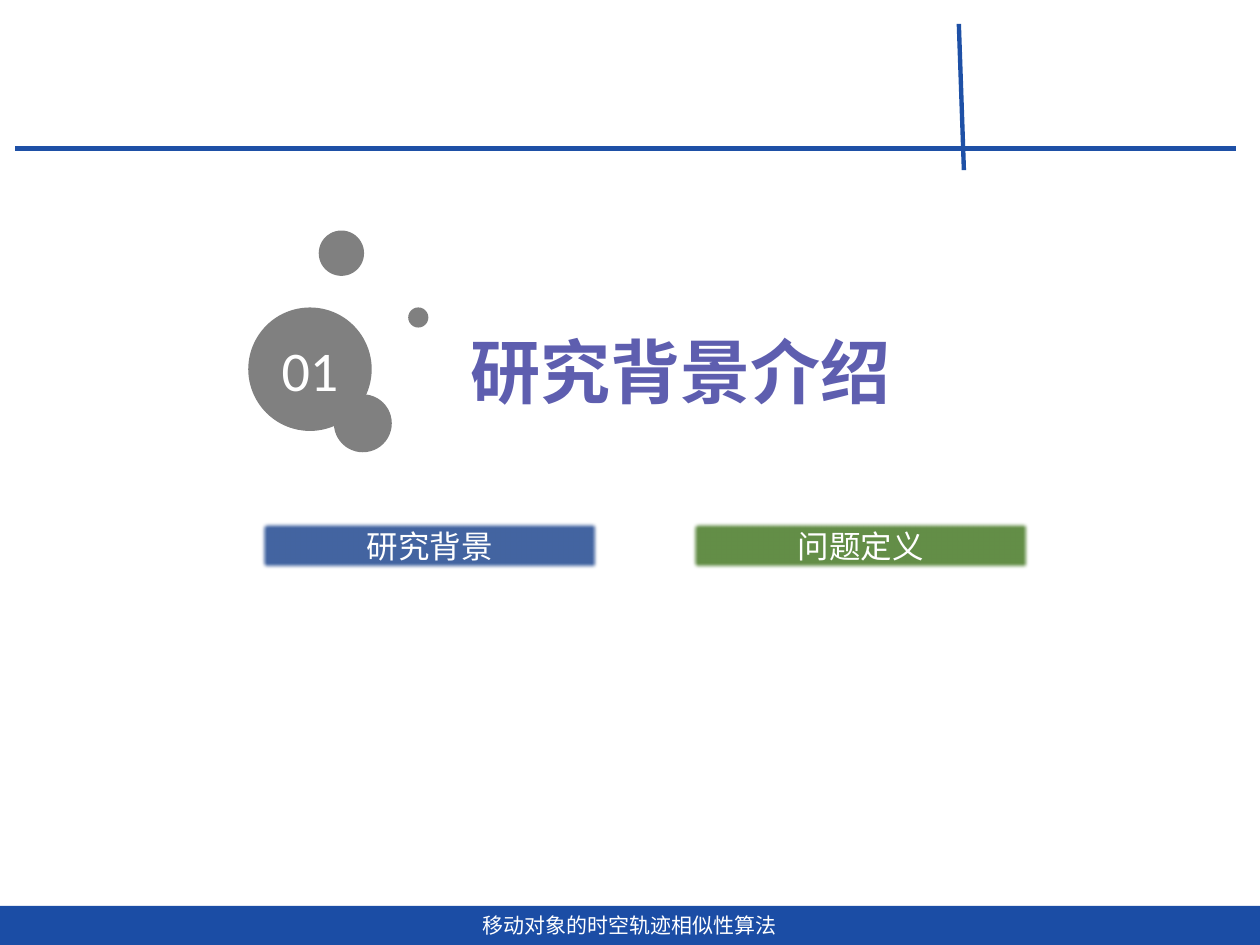
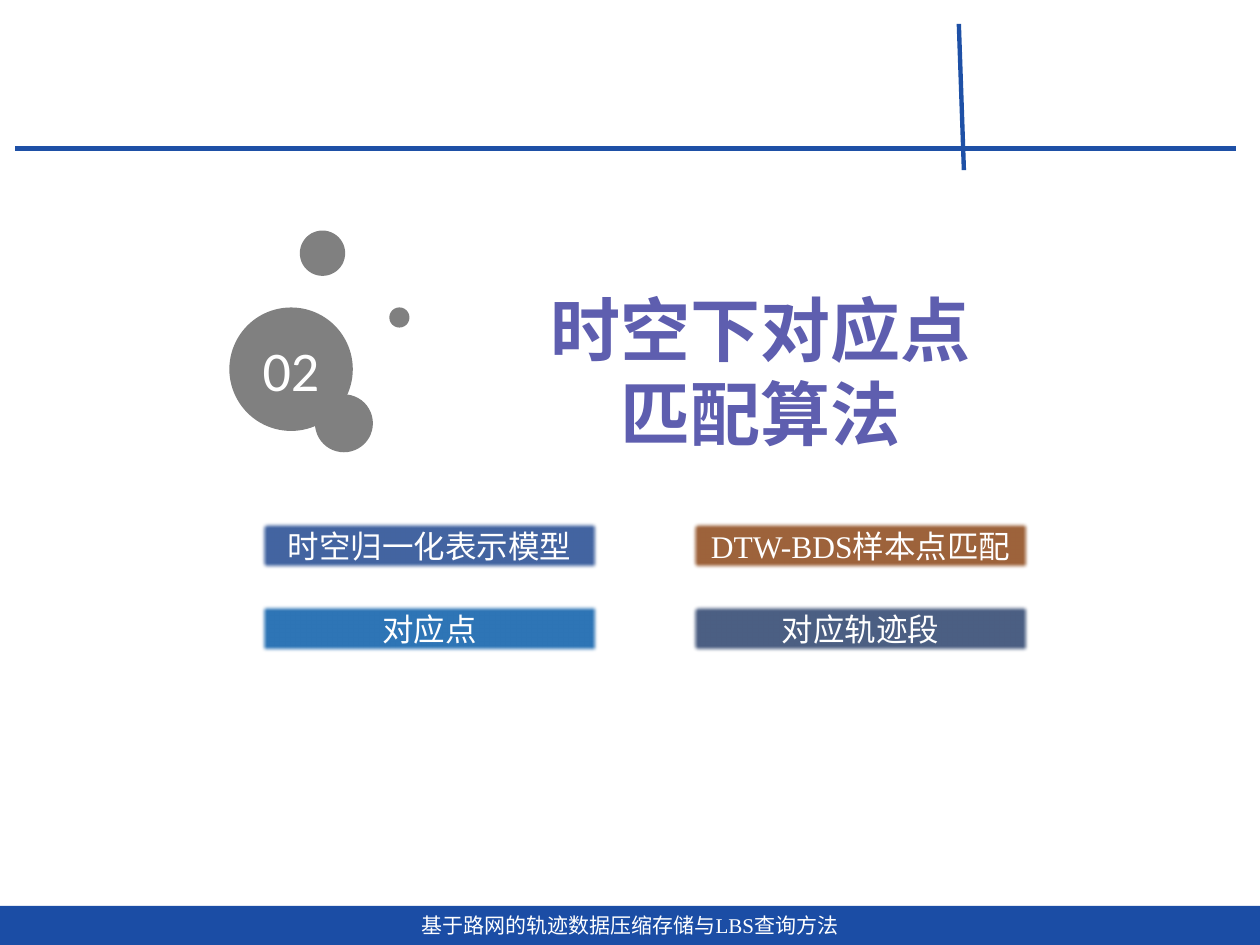
from lxml.etree import SubElement
from pptx import Presentation
from pptx.dml.color import RGBColor
from pptx.enum.shapes import MSO_CONNECTOR, MSO_SHAPE
from pptx.enum.text import MSO_ANCHOR, PP_ALIGN
from pptx.oxml.ns import qn
from pptx.util import Inches, Pt

RULE_BLUE, FOOTER_BLUE = "1E50A6", "1B4DA5"
TITLE_PURPLE, BUBBLE_GRAY, WHITE = "5E5EAF", "808080", "FFFFFF"
SANS, SERIF, NUMBER_FONT = "Noto Sans CJK SC", "Times New Roman", "Calibri"

HEADER_RULES = [(0.12, 1.18, 9.81, 1.18), (7.61, 0.19, 7.65, 1.35)]
# Offsets from the bubble cluster's corner, then the diameter
NUMBER_BUBBLE = (0, 0.61, 0.98)
SMALL_BUBBLES = [(0.68, 1.3, 0.46), (0.56, 0, 0.36), (1.27, 0.61, 0.16)]
BUBBLES_TOP = 1.83
TOPIC_LEFT, TOPIC_TOP, TOPIC_WIDTH, TOPIC_HEIGHT = 2.06, 4.13, 2.7, 0.4
TOPIC_COLUMN_STEP, TOPIC_ROW_STEP = 3.42, 0.66
SOFT_EDGE = Pt(2.5)


def color(hex_string):
    return RGBColor.from_string(hex_string)


def write(shape, lines, size, font, text_color, bold=False, anchor=MSO_ANCHOR.MIDDLE):
    """Fill the shape with centred lines, one paragraph each."""
    frame = shape.text_frame
    frame.word_wrap = True
    frame.vertical_anchor = anchor
    for index, line in enumerate(lines):
        paragraph = frame.add_paragraph() if index else frame.paragraphs[0]
        paragraph.alignment = PP_ALIGN.CENTER
        run = paragraph.add_run()
        run.text = line
        run.font.size = Pt(size)
        run.font.name = font
        run.font.bold = bold
        run.font.color.rgb = color(text_color)
        SubElement(run.font._element, qn("a:ea"), typeface=SANS)


def add_filled(slide, kind, box, fill):
    shape = slide.shapes.add_shape(kind, *map(Inches, box))
    shape.shadow.inherit = False
    shape.fill.solid()
    shape.fill.fore_color.rgb = color(fill)
    shape.line.fill.background()
    return shape


def add_header_rules(slide):
    for ends in HEADER_RULES:
        rule = slide.shapes.add_connector(MSO_CONNECTOR.STRAIGHT, *map(Inches, ends))
        rule.line.color.rgb = color(RULE_BLUE)
        rule.line.width = Pt(2.5)
        SubElement(rule._element.spPr, qn("a:effectLst"))


def add_footer(slide, text, font):
    band = add_filled(slide, MSO_SHAPE.RECTANGLE, (0, 7.19, 10, 0.31), FOOTER_BLUE)
    write(band, [text], 12, font, WHITE)


def add_title(slide, lines, left, width):
    title = slide.shapes.add_textbox(*map(Inches, (left, 2.08, width, 1.72)))
    write(title, lines, 40, SANS, TITLE_PURPLE, bold=True)


def add_bubbles(slide, number, left):
    def add_bubble(x, y, diameter):
        box = (left + x, BUBBLES_TOP + y, diameter, diameter)
        return add_filled(slide, MSO_SHAPE.FLOWCHART_CONNECTOR, box, BUBBLE_GRAY)

    write(add_bubble(*NUMBER_BUBBLE), [number], 32, NUMBER_FONT, WHITE)
    for bubble in SMALL_BUBBLES:
        add_bubble(*bubble)


def add_topics(slide, topics):
    """Lay out (text, fill, opacity percent) labels in two columns."""
    for index, (text, fill, opacity) in enumerate(topics):
        row, column = divmod(index, 2)
        box = (TOPIC_LEFT + column * TOPIC_COLUMN_STEP,
               TOPIC_TOP + row * TOPIC_ROW_STEP, TOPIC_WIDTH, TOPIC_HEIGHT)
        label = add_filled(slide, MSO_SHAPE.RECTANGLE, box, fill)
        properties = label._element.spPr
        if opacity < 100:
            fill_color = properties.find(qn("a:solidFill")).find(qn("a:srgbClr"))
            SubElement(fill_color, qn("a:alpha"), val=str(opacity * 1000))
        effects = properties.find(qn("a:effectLst"))
        SubElement(effects, qn("a:softEdge"), rad=str(SOFT_EDGE))
        write(label, [text], 18, SERIF, WHITE, anchor=MSO_ANCHOR.TOP)


def add_section_slide(presentation, number, bubbles_left, title, title_left,
                      title_width, topics, footer, footer_font):
    slide = presentation.slides.add_slide(presentation.slide_layouts[6])
    add_header_rules(slide)
    add_title(slide, title, title_left, title_width)
    add_topics(slide, topics)
    add_bubbles(slide, number, bubbles_left)
    add_footer(slide, footer, footer_font)


def main():
    presentation = Presentation()
    presentation.slide_width = Inches(10)
    presentation.slide_height = Inches(7.5)
    add_section_slide(
        presentation, number="01", bubbles_left=1.97,
        title=["研究背景介绍"], title_left=1.99, title_width=6.82,
        topics=[("研究背景", "2F5597", 90), ("问题定义", "548235", 90)],
        footer="移动对象的时空轨迹相似性算法", footer_font=SANS)
    add_section_slide(
        presentation, number="02", bubbles_left=1.82,
        title=["时空下对应点", "匹配算法"], title_left=2.71, title_width=6.65,
        topics=[("时空归一化表示模型", "2F5597", 90),
                ("DTW-BDS样本点匹配", "843C0B", 80),
                ("对应点", "2E75B6", 100),
                ("对应轨迹段", "203864", 80)],
        footer="基于路网的轨迹数据压缩存储与LBS查询方法", footer_font=SERIF)
    presentation.save("out.pptx")


if __name__ == "__main__":
    main()
